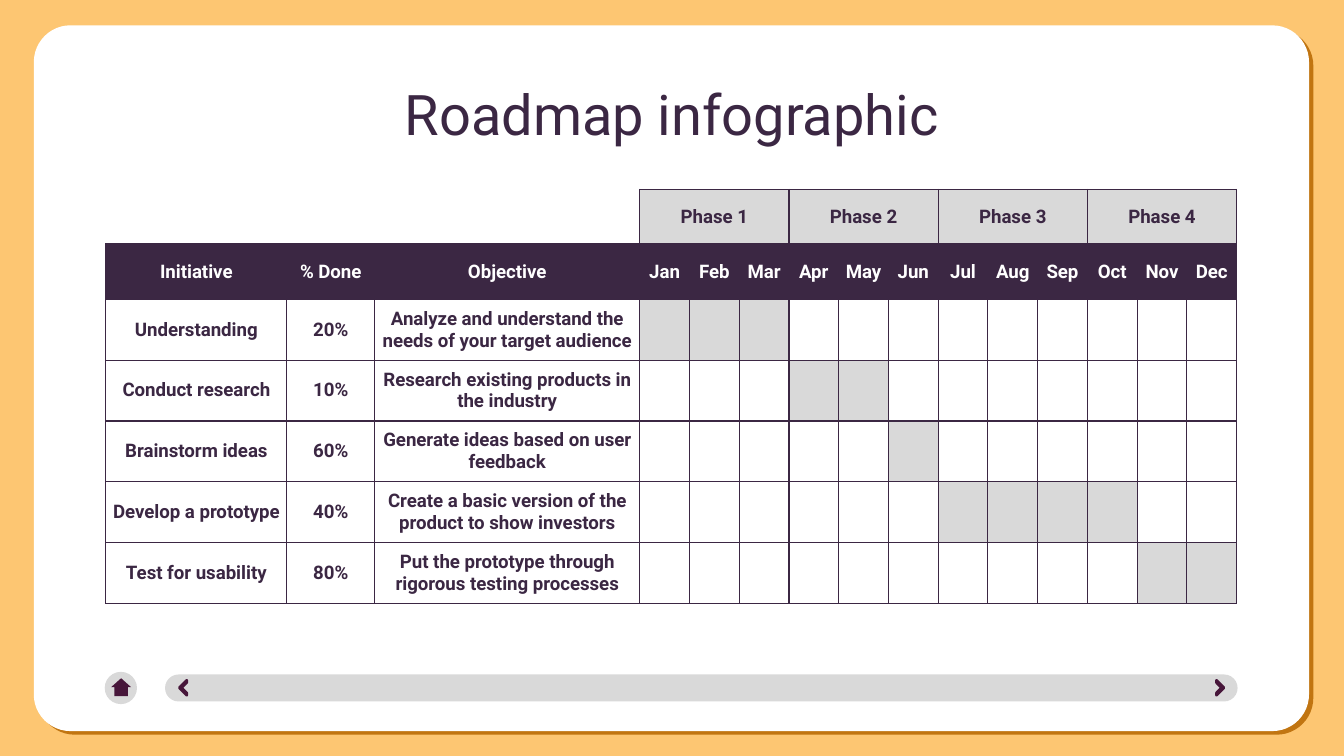
"""Build a one-slide yearly roadmap with a phase table and a navigation bar."""
from dataclasses import dataclass

from lxml import etree
from pptx import Presentation
from pptx import util as u
from pptx.dml.color import RGBColor
from pptx.enum import shapes, text
from pptx.oxml.ns import qn


@dataclass(frozen=True)
class Theme:
    """Hold the colours, font and type sizes of the slide."""
    back: str = "FDC672"
    shade: str = "C17511"
    ink: str = "3B2743"
    icon: str = "47163A"
    grey: str = "D9D9D9"
    white: str = "FFFFFF"
    font: str = "Roboto"
    head: int = 30
    body: int = 10


THEME = Theme()
KIND = shapes.MSO_SHAPE
PLAIN = "{2D5ABB26-0587-4C30-8999-92F81FD0307C}"
SIDES = ("lnL", "lnR", "lnT", "lnB")

WIDTHS = [3.42, 1.66, 5.01] + [0.94] * 12
HEIGHTS = [1.03, 1.05] + [1.15] * 5
LABELS = ["Initiative", "% Done", "Objective"]
MONTHS = "Jan Feb Mar Apr May Jun Jul Aug Sep Oct Nov Dec".split()
TASKS = [
    ("Understanding", "20%", "Analyze and understand the needs of your target audience", 0, 3),
    ("Conduct research", "10%", "Research existing products in the industry", 3, 5),
    ("Brainstorm ideas", "60%", "Generate ideas based on user feedback", 5, 6),
    ("Develop a prototype", "40%", "Create a basic version of the product to show investors", 6, 10),
    ("Test for usability", "80%", "Put the prototype through rigorous testing processes", 10, 12),
]


def paint(fill, color):
    """Give a fill one solid colour."""
    fill.solid()
    fill.fore_color.rgb = RGBColor.from_string(color)


def write(frame, words, size=THEME.body, color=THEME.ink, bold=False):
    """Put centred, formatted text in a text frame."""
    para = frame.paragraphs[0]
    para.alignment = text.PP_ALIGN.CENTER
    run = para.add_run()
    run.text = words
    run.font.name = THEME.font
    run.font.size = u.Pt(size)
    run.font.bold = bold
    run.font.color.rgb = RGBColor.from_string(color)


def add_form(slide, kind, box, color, adjust=(), turn=0, line=0):
    """Draw a filled preset shape, with an outline if a line width is given."""
    form = slide.shapes.add_shape(kind, *map(u.Cm, box))
    form.shadow.inherit = False
    form.rotation = turn
    for i, value in enumerate(adjust):
        form.adjustments[i] = value
    paint(form.fill, color)
    if line:
        paint(form.line.fill, color)
        form.line.width = u.Pt(line)
    else:
        form.line.fill.background()
    return form


def add_card(slide):
    """Draw the white card with its hard shadow."""
    card = add_form(slide, KIND.ROUNDED_RECTANGLE, (0.64, 0.48, 24.1, 13.34),
                    THEME.white, (0.052,))
    glow = card.element.spPr.find(qn("a:effectLst"))
    shade = etree.SubElement(glow, qn("a:outerShdw"), blurRad="0", dist=str(u.Pt(3)),
                             dir=str(40 * 60000), algn="bl", rotWithShape="0")
    etree.SubElement(shade, qn("a:srgbClr"), val=THEME.shade)


def add_nav(slide):
    """Draw the home button and the bar with its two chevrons."""
    add_form(slide, KIND.ROUNDED_RECTANGLE, (3.12, 12.75, 20.27, 0.51), THEME.grey, (0.5,))
    for left, turn in ((3.43, 315), (22.89, 135)):
        add_form(slide, KIND.HALF_FRAME, (left, 12.9, 0.2, 0.2), THEME.icon,
                 (0.153, 0.153), turn, 1.5)
    add_form(slide, KIND.OVAL, (1.98, 12.7, 0.61, 0.61), THEME.grey)
    add_form(slide, KIND.RIGHT_ARROW, (2.12, 12.8, 0.34, 0.38), THEME.icon,
             (0.669, 0.5), 270)


def add_title(slide, words):
    """Place and format the title in front of the card."""
    title = slide.shapes.title
    title.left, title.top, title.width, title.height = map(u.Cm, (2, 1.25, 21.4, 1.6))
    frame = title.text_frame
    frame.auto_size = text.MSO_AUTO_SIZE.NONE
    frame.vertical_anchor = text.MSO_ANCHOR.TOP
    frame.margin_left = frame.margin_right = u.Cm(0.25)
    frame.margin_top = frame.margin_bottom = u.Cm(0.25)
    write(frame, words, size=THEME.head)
    slide.shapes._spTree.append(title.element)


def set_cell(cell, words="", fill=THEME.white, color=THEME.ink, pad=0.0):
    """Rule, fill and letter one table cell."""
    cell.margin_left = cell.margin_right = u.Cm(pad)
    cell.margin_top = cell.margin_bottom = u.Cm(pad)
    cell.vertical_anchor = text.MSO_ANCHOR.MIDDLE
    props = cell._tc.get_or_add_tcPr()
    for side in SIDES:
        line = etree.SubElement(props, qn("a:" + side), w=str(u.Pt(0.75)))
        solid = etree.SubElement(line, qn("a:solidFill"))
        etree.SubElement(solid, qn("a:srgbClr"), val=THEME.ink)
    paint(cell.fill, fill)
    if words:
        write(cell.text_frame, words, color=color, bold=True)


def add_table(slide):
    """Build the roadmap table of phases, months and tasks."""
    box = (2, 3.58, sum(WIDTHS), sum(HEIGHTS))
    table = slide.shapes.add_table(len(HEIGHTS), len(WIDTHS), *map(u.Cm, box)).table
    table.first_row = table.horz_banding = False
    table._tbl.tblPr.find(qn("a:tableStyleId")).text = PLAIN
    for col, width in zip(table.columns, WIDTHS):
        col.width = u.Cm(width)
    for row, height in zip(table.rows, HEIGHTS):
        row.height = u.Cm(height)

    start = len(LABELS)
    for i in range(len(MONTHS)):
        phase = f"Phase {i // 3 + 1}" if i % 3 == 0 else ""
        set_cell(table.cell(0, start + i), phase, fill=THEME.grey)
    for col in range(start, len(WIDTHS), 3):
        table.cell(0, col).merge(table.cell(0, col + 2))
    for col, label in enumerate(LABELS + MONTHS):
        set_cell(table.cell(1, col), label, fill=THEME.ink, color=THEME.white)
    for row, (*facts, first, last) in enumerate(TASKS, 2):
        for col, fact in enumerate(facts):
            set_cell(table.cell(row, col), fact, pad=0.12)
        for i in range(len(MONTHS)):
            fill = THEME.grey if first <= i < last else THEME.white
            set_cell(table.cell(row, start + i), fill=fill)


def main():
    """Build and save the slide."""
    deck = Presentation()
    deck.slide_width, deck.slide_height = u.Cm(25.4), u.Cm(14.29)
    slide = deck.slides.add_slide(deck.slide_layouts[5])
    paint(slide.background.fill, THEME.back)
    add_card(slide)
    add_nav(slide)
    add_title(slide, "Roadmap infographic")
    add_table(slide)
    deck.save("out.pptx")


if __name__ == "__main__":
    main()
